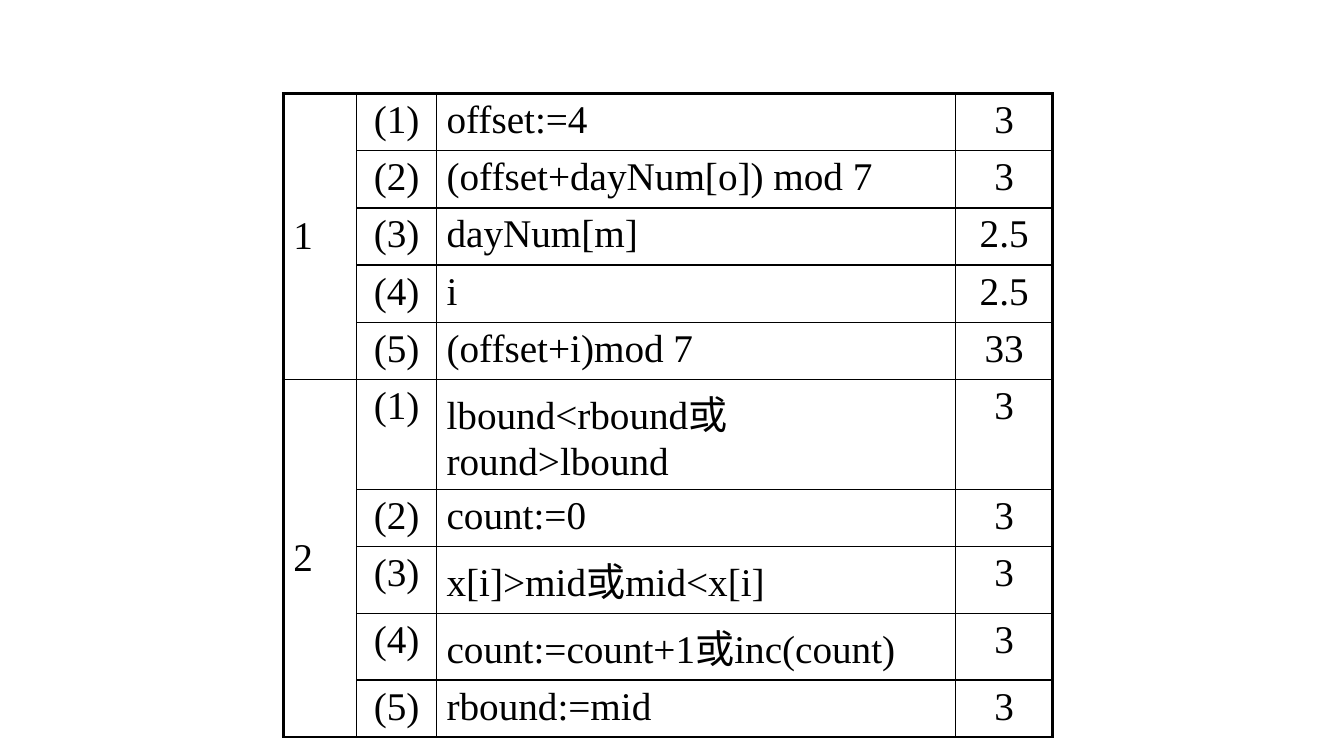
from dataclasses import dataclass
from lxml import etree
from pptx import Presentation
from pptx.dml.color import RGBColor
from pptx.enum.text import MSO_ANCHOR, PP_ALIGN
from pptx.oxml.ns import qn
from pptx.util import Inches, Pt

LEFT, CENTER = PP_ALIGN.LEFT, PP_ALIGN.CENTER
TOP, MIDDLE = MSO_ANCHOR.TOP, MSO_ANCHOR.MIDDLE


@dataclass(frozen=True)
class Theme:
    ink: str = "000000"
    font: str = "Times New Roman"
    size: float = 28
    gap: int = 20
    thin: float = 1
    thick: float = 2.25


THEME = Theme()
SLIDE = (13.33, 7.5)
BOX = (2.81, 0.93, 7.63, 6.13)
COLS = (0.73, 0.79, 5.15, 0.96)
TALL_ROW, TALL = 5, 1.03
ALIGNS = (LEFT, CENTER, LEFT, CENTER)
GROUPS = {
    "1": [
        ("offset:=4", "3"),
        ("(offset+dayNum[o]) mod 7", "3"),
        ("dayNum[m]", "2.5"),
        ("i", "2.5"),
        ("(offset+i)mod 7", "33"),
    ],
    "2": [
        ("lbound<rbound或round>lbound", "3"),
        ("count:=0", "3"),
        ("x[i]>mid或mid<x[i]", "3"),
        ("count:=count+1或inc(count)", "3"),
        ("rbound:=mid", "3"),
    ],
}


def write(cell, text, align, anchor):
    cell.vertical_anchor = anchor
    para = cell.text_frame.paragraphs[0]
    para.alignment = align
    para.space_before = Pt(0)
    before = next(para._p.iter(qn("a:spcBef")))
    before.clear()
    etree.SubElement(before, qn("a:spcPct"), val=str(THEME.gap * 1000))
    run = para.add_run()
    run.text = text
    style = {"name": THEME.font, "size": Pt(THEME.size)}
    for key, value in style.items():
        setattr(run.font, key, value)
    run.font.color.rgb = RGBColor.from_string(THEME.ink)


def frame(cell, edges):
    cell.fill.background()
    props = cell._tc.get_or_add_tcPr()
    for spot, (side, outer) in enumerate(edges.items()):
        width = THEME.thick if outer else THEME.thin
        line = etree.Element(qn(f"a:ln{side}"), w=str(Pt(width)))
        fill = etree.SubElement(line, qn("a:solidFill"))
        etree.SubElement(fill, qn("a:srgbClr"), val=THEME.ink)
        props.insert(spot, line)


def add_key(slide, box):
    count = sum(len(items) for items in GROUPS.values())
    left, top, width, height = box
    table = slide.shapes.add_table(
        count, len(COLS), *(Inches(v) for v in box)
    ).table
    table.first_row = table.horz_banding = False
    for col, share in zip(table.columns, COLS):
        col.width = Inches(width * share / sum(COLS))
    plain = (height - TALL) / (count - 1)
    for index, row in enumerate(table.rows):
        row.height = Inches(TALL if index == TALL_ROW else plain)

    start = 0
    for name, items in GROUPS.items():
        end = start + len(items) - 1
        head = table.cell(start, 0)
        head.merge(table.cell(end, 0))
        write(head, name, ALIGNS[0], MIDDLE)
        for index, (answer, score) in enumerate(items):
            texts = (f"({index + 1})", answer, score)
            for col, text in enumerate(texts, 1):
                write(table.cell(start + index, col), text, ALIGNS[col], TOP)
        start = end + 1

    for row in range(count):
        for col in range(len(COLS)):
            cell = table.cell(row, col)
            last = row + (cell.span_height if cell.is_merge_origin else 1)
            frame(cell, {
                "L": col == 0,
                "R": col == len(COLS) - 1,
                "T": row == 0,
                "B": last == count,
            })


def main():
    deck = Presentation()
    deck.slide_width, deck.slide_height = (Inches(v) for v in SLIDE)
    slide = deck.slides.add_slide(deck.slide_layouts[6])
    add_key(slide, BOX)
    deck.save("out.pptx")


if __name__ == "__main__":
    main()
